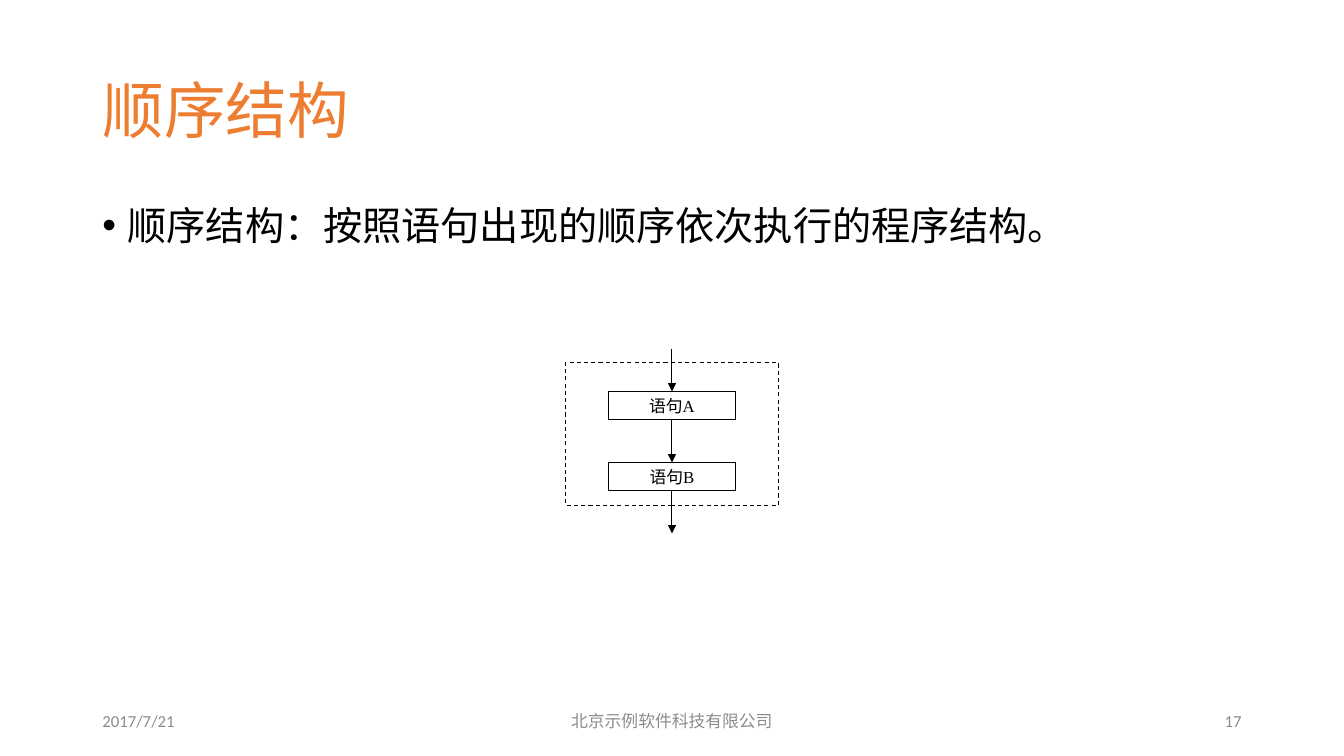
from pptx import Presentation
from pptx.dml.color import RGBColor
from pptx.enum.dml import MSO_LINE
from pptx.enum.shapes import MSO_CONNECTOR, MSO_SHAPE
from pptx.enum.text import MSO_ANCHOR, MSO_AUTO_SIZE, PP_ALIGN
from pptx.oxml.xmlchemy import OxmlElement
from pptx.util import Pt

LEFT, CENTER, RIGHT = PP_ALIGN.LEFT, PP_ALIGN.CENTER, PP_ALIGN.RIGHT
TOP, MIDDLE = MSO_ANCHOR.TOP, MSO_ANCHOR.MIDDLE
DASH, SOLID = MSO_LINE.DASH, MSO_LINE.SOLID
CHINESE_FONT = "Noto Sans CJK SC"
BLACK, ORANGE, GRAY = "000000", "ED7D31", "8C8C8C"

TITLE = "顺序结构"
BODY = "顺序结构：按照语句出现的顺序依次执行的程序结构。"
FOOTERS = [
    ("2017/7/21", 66, 216, LEFT),
    ("北京示例软件科技有限公司", 318, 324, CENTER),
    ("17", 678, 216, RIGHT),
]
STATEMENTS = ["语句A", "语句B"]

AXIS, FLOW_TOP, UNIT = 480, 249.1, 10.15
ARROW_LENGTH, BOX_HEIGHT, BOX_WIDTH = 3 * UNIT, 2 * UNIT, 9 * UNIT
FRAME_HEIGHT, FRAME_WIDTH = 10 * UNIT, 15 * UNIT


def color(value):
    return RGBColor.from_string(value)


def place(shape, left, top, width, height):
    for name, value in dict(left=left, top=top, width=width, height=height).items():
        setattr(shape, name, Pt(value))


def write(shape, text, size, ink, latin, align, anchor, paragraph_format=None):
    frame = shape.text_frame
    frame.word_wrap = True
    frame.auto_size = MSO_AUTO_SIZE.NONE
    frame.vertical_anchor = anchor
    para = frame.paragraphs[0]
    para.alignment = align
    for name, value in (paragraph_format or {}).items():
        setattr(para, name, value)
    span = para.add_run()
    span.text = text
    for name, value in dict(size=Pt(size), name=latin).items():
        setattr(span.font, name, value)
    span.font.color.rgb = color(ink)
    east_asian = OxmlElement("a:ea")
    east_asian.set("typeface", CHINESE_FONT)
    span.font._element.append(east_asian)
    return para


def outline(shape, dash=SOLID):
    shape.line.color.rgb = color(BLACK)
    shape.line.width = Pt(0.75)
    shape.line.dash_style = dash


def add_rectangle(page, top, width, height, dash=SOLID):
    box = page.shapes.add_shape(
        MSO_SHAPE.RECTANGLE, Pt(AXIS - width / 2), Pt(top), Pt(width), Pt(height))
    box.shadow.inherit = False
    box.fill.background()
    outline(box, dash)
    return box


def add_arrow(page, top, source, target):
    arrow = page.shapes.add_connector(
        MSO_CONNECTOR.STRAIGHT, Pt(AXIS), Pt(top), Pt(AXIS), Pt(top + ARROW_LENGTH))
    outline(arrow)
    if source is not None:
        arrow.begin_connect(source, 2)
    if target is not None:
        arrow.end_connect(target, 0)
    head = OxmlElement("a:tailEnd")
    head.set("type", "triangle")
    arrow.line._get_or_add_ln().append(head)
    arrow._element.spPr.append(OxmlElement("a:effectLst"))


def add_flow(page):
    add_rectangle(page, FLOW_TOP + UNIT, FRAME_WIDTH, FRAME_HEIGHT, DASH)
    step = ARROW_LENGTH + BOX_HEIGHT
    boxes = []
    for index, text in enumerate(STATEMENTS):
        top = FLOW_TOP + ARROW_LENGTH + index * step
        box = add_rectangle(page, top, BOX_WIDTH, BOX_HEIGHT)
        margins = dict(margin_left=0, margin_top=3, margin_right=0, margin_bottom=0)
        for name, value in margins.items():
            setattr(box.text_frame, name, Pt(value))
        write(box, text, 12, BLACK, "Times New Roman", CENTER, TOP)
        boxes.append(box)
    for index, (source, target) in enumerate(zip([None] + boxes, boxes + [None])):
        add_arrow(page, FLOW_TOP + index * step, source, target)


def main():
    deck = Presentation()
    deck.slide_width, deck.slide_height = Pt(960), Pt(540)
    page = deck.slides.add_slide(deck.slide_layouts[1])
    title, body = page.placeholders

    place(title, 66, 28.8, 625.7, 104.4)
    write(title, TITLE, 44, ORANGE, CHINESE_FONT, LEFT, MIDDLE, dict(line_spacing=0.9))

    place(body, 66, 144, 828, 342.7)
    para = write(body, BODY, 28, BLACK, CHINESE_FONT, LEFT, TOP,
                 dict(line_spacing=0.9, space_before=Pt(10)))
    properties = para._p.get_or_add_pPr()
    properties.set("marL", str(Pt(18)))
    properties.set("indent", str(-Pt(18)))
    bullet_font = OxmlElement("a:buFont")
    bullet_font.set("typeface", "Arial")
    bullet = OxmlElement("a:buChar")
    bullet.set("char", "•")
    properties.extend([bullet_font, bullet])

    for text, left, width, align in FOOTERS:
        box = page.shapes.add_textbox(Pt(left), Pt(500.5), Pt(width), Pt(28.75))
        write(box, text, 12, GRAY, "Calibri", align, MIDDLE)

    add_flow(page)
    deck.save("out.pptx")


if __name__ == "__main__":
    main()
